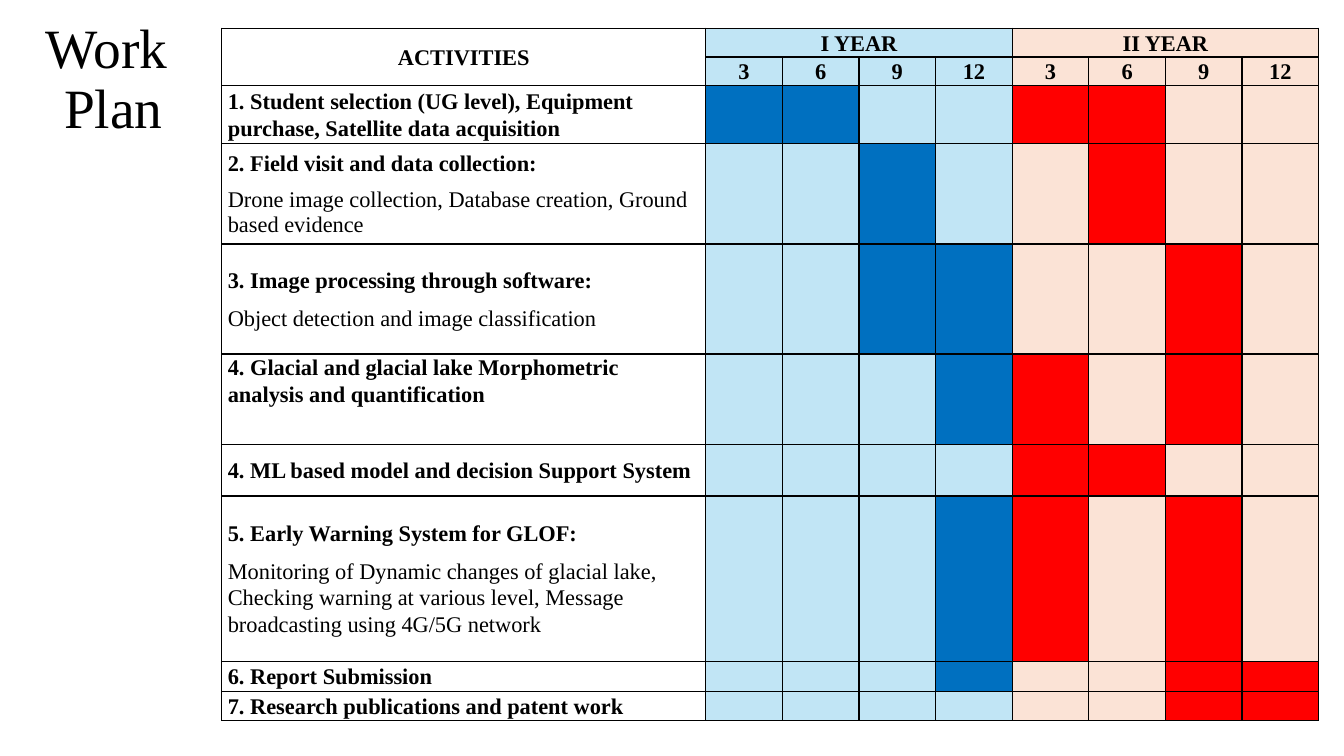
from pptx import Presentation
from pptx.dml.color import RGBColor
from pptx.enum.text import MSO_ANCHOR, PP_ALIGN
from pptx.oxml.ns import qn
from pptx.util import Inches, Pt
from lxml.etree import SubElement

FONT = "Times New Roman"
COLORS = {"ink": "000000", "year1": "C1E5F5", "year2": "FBE3D6",
          "busy1": "0070C0", "busy2": "FF0000"}
YEARS = ["I YEAR", "II YEAR"]
MONTHS = ["3", "6", "9", "12"]
ACTIVITY_W, QUARTER_W = 4.8, 0.76
HEAD_H = 0.27

# Heading, detail, row height, busy quarters (x) over both years
ACTIVITIES = [
    ("1. Student selection (UG level), Equipment purchase, Satellite data acquisition",
     "", 0.53, "xx..xx.."),
    ("2. Field visit and data collection:",
     "Drone image collection, Database creation, Ground based evidence",
     1.0, "..x..x.."),
    ("3. Image processing through software:",
     "Object detection and image classification", 1.09, "..xx..x."),
    ("4. Glacial and glacial lake Morphometric analysis and quantification",
     "", 0.9, "...xx.x."),
    ("4. ML based model and decision Support System", "", 0.51, "....xx.."),
    ("5. Early Warning System for GLOF:",
     "Monitoring of Dynamic changes of glacial lake, Checking warning at various "
     "level, Message broadcasting using 4G/5G network", 1.64, "...xx.x."),
    ("6. Report Submission", "", 0.3, "...x..xx"),
    ("7. Research publications and patent work", "", 0.27, "......xx"),
]
TOP_ROW = 3  # index of the activity whose text sits at the top of its cell


def rgb(name):
    return RGBColor.from_string(COLORS[name])


def write(p, text, size, bold=False, **layout):
    for name, value in layout.items():
        setattr(p, name, value)
    p.text = text
    for r in p.runs:
        for name, value in {"name": FONT, "size": Pt(size), "bold": bold}.items():
            setattr(r.font, name, value)
        r.font.color.rgb = rgb("ink")


def format_cell(cell, fill=None):
    for name, value in {"margin_left": Inches(0.06), "margin_right": Inches(0.06),
                        "margin_top": 0, "margin_bottom": 0,
                        "vertical_anchor": MSO_ANCHOR.MIDDLE}.items():
        setattr(cell, name, value)
    # Borders come before the fill
    tc_pr = cell._tc.get_or_add_tcPr()
    for side in "LRTB":
        ln = SubElement(tc_pr, qn(f"a:ln{side}"), w=str(Pt(1)))
        SubElement(SubElement(ln, qn("a:solidFill")), qn("a:srgbClr"), val=COLORS["ink"])
    if fill:
        cell.fill.solid()
        cell.fill.fore_color.rgb = rgb(fill)
    else:
        cell.fill.background()


def write_head(cell, text):
    write(cell.text_frame.paragraphs[0], text, 16, True, alignment=PP_ALIGN.CENTER,
          line_spacing=1.07, space_after=Pt(8))


def add_title(s, left, top, width, height):
    tf = s.shapes.add_textbox(*map(Inches, (left, top, width, height))).text_frame
    tf.word_wrap = True
    tf.vertical_anchor = MSO_ANCHOR.MIDDLE
    write(tf.paragraphs[0], "Work \vPlan", 39.6, alignment=PP_ALIGN.CENTER,
          line_spacing=0.9)


def add_schedule(s, left, top):
    quarters = len(YEARS) * len(MONTHS)
    heights = [HEAD_H, HEAD_H] + [a[2] for a in ACTIVITIES]
    widths = [ACTIVITY_W] + [QUARTER_W] * quarters
    table = s.shapes.add_table(len(heights), len(widths), Inches(left), Inches(top),
                               Inches(sum(widths)), Inches(sum(heights))).table
    table.first_row = table.horz_banding = False
    for col, width in zip(table.columns, widths):
        col.width = Inches(width)
    for row, height in zip(table.rows, heights):
        row.height = Inches(height)

    # Head rows
    for i in range(2):
        format_cell(table.cell(i, 0))
        for q in range(quarters):
            format_cell(table.cell(i, q + 1), f"year{q // len(MONTHS) + 1}")
    table.cell(0, 0).merge(table.cell(1, 0))
    write_head(table.cell(0, 0), "ACTIVITIES")
    for y, year in enumerate(YEARS):
        first = 1 + y * len(MONTHS)
        table.cell(0, first).merge(table.cell(0, first + len(MONTHS) - 1))
        write_head(table.cell(0, first), year)
        for m, month in enumerate(MONTHS):
            write_head(table.cell(1, first + m), month)

    # Activity rows
    for i, (heading, detail, _, plan) in enumerate(ACTIVITIES):
        cell = table.cell(i + 2, 0)
        format_cell(cell)
        if i == TOP_ROW:
            cell.vertical_anchor = MSO_ANCHOR.TOP
        tf = cell.text_frame
        write(tf.paragraphs[0], heading, 16, True, line_spacing=1.07, space_after=Pt(8))
        if detail:
            spacing = 1.0 if i == 1 else 1.07
            write(tf.add_paragraph(), detail, 16, line_spacing=spacing)
        for q, mark in enumerate(plan):
            cell = table.cell(i + 2, q + 1)
            state = "busy" if mark == "x" else "year"
            format_cell(cell, f"{state}{q // len(MONTHS) + 1}")
            # Small empty line keeps the row height
            SubElement(cell.text_frame.paragraphs[0]._p, qn("a:endParaRPr"), sz="1000")


def main():
    prs = Presentation()
    prs.slide_width, prs.slide_height = Inches(13.33), Inches(7.5)
    s = prs.slides.add_slide(prs.slide_layouts[6])
    add_title(s, 0.21, 0.15, 1.83, 1.29)
    add_schedule(s, 2.2, 0.28)
    prs.save("out.pptx")


if __name__ == "__main__":
    main()
